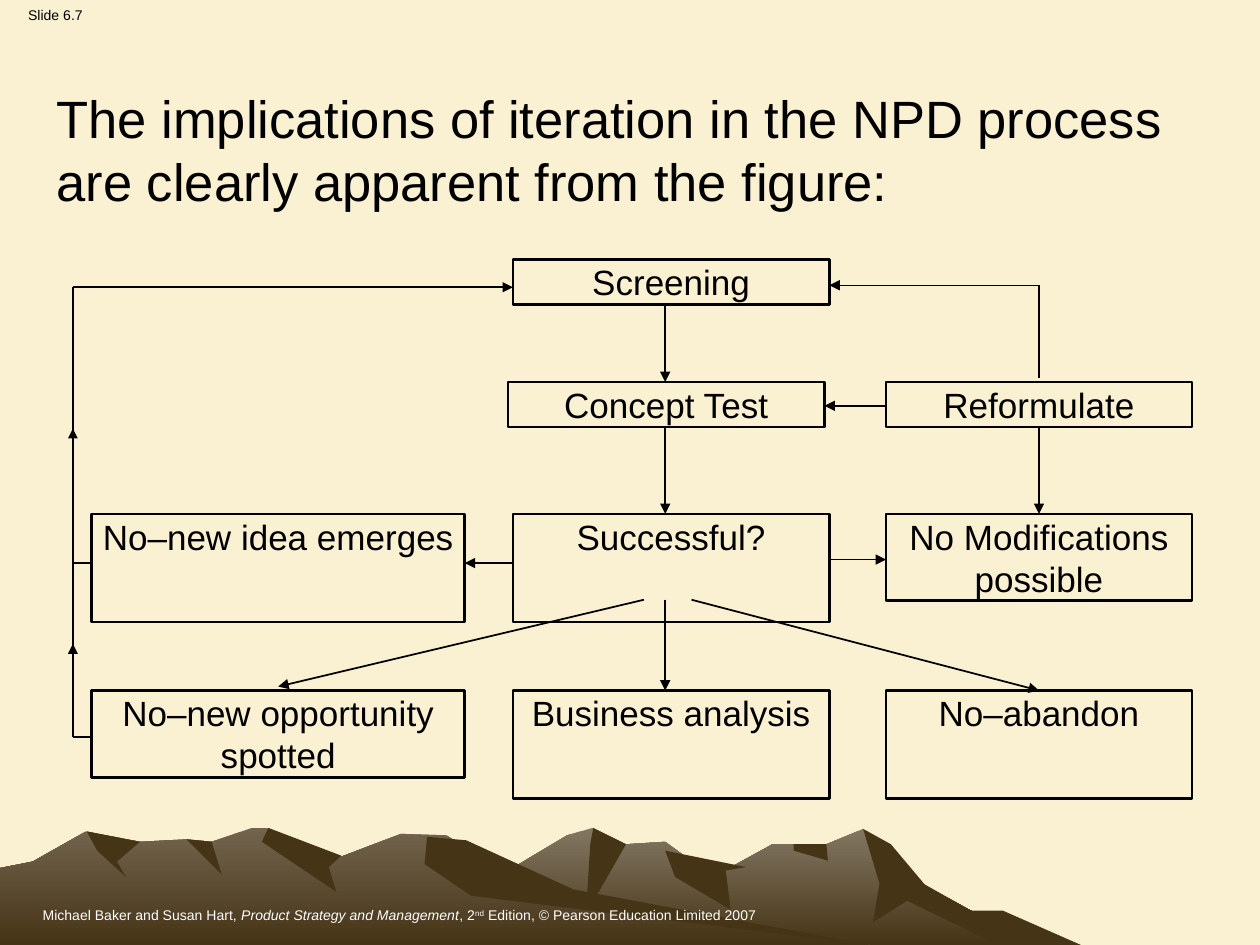
from lxml.etree import SubElement
from pptx import Presentation
from pptx.dml.color import RGBColor
from pptx.enum.shapes import MSO_CONNECTOR, MSO_SHAPE
from pptx.enum.text import MSO_ANCHOR, MSO_AUTO_SIZE, PP_ALIGN
from pptx.oxml.ns import qn
from pptx.util import Cm, Pt

BLACK, WHITE, SAND, EARTH = "000000", "FFFFFF", "FAF0D2", "463416"
FAR_RIDGE, NEAR_RIDGE = "837763", "72644E"
LEFT, MIDDLE, RIGHT = (1.85, 7.52), (10.34, 6.38), (17.86, 6.17)
CONCEPT = (10.24, 6.38)
SCREEN_ROW, TEST_ROW, RESULT_ROW, OUTCOME_ROW = 5.23, 7.7, 10.36, 13.92
ONE_LINE, TWO_LINES, TALL = 0.91, 1.75, 2.18
AXIS, RAIL, FORK = 13.41, 1.47, 12.09

RIDGES = [
    (FAR_RIDGE, [(6.55, 19.05), (10, 17.7), (11.43, 16.84), (11.95, 16.69), (12.62, 17.02),
                 (13.41, 16.97), (14.38, 17.68), (15.57, 17.02), (16.66, 17.02), (17.4, 16.71),
                 (18.36, 17.7), (20.85, 19.05)]),
    (EARTH, [(17.4, 16.71), (17.96, 17.02), (18.64, 17.83), (19.58, 18.36), (20.22, 18.36),
             (21.79, 19.05), (20.12, 19.05), (18.29, 18.16), (17.6, 18.59), (17.73, 17.81)]),
    (EARTH, [(11.96, 16.69), (12.62, 17.02), (11.81, 18.44), (11.9, 17.02)]),
    (EARTH, [(13.41, 17.15), (15.04, 17.48), (14.63, 17.55), (14.73, 18.34), (13.61, 17.68)]),
    (EARTH, [(16, 17.02), (16.66, 17.02), (16.69, 17.35), (16, 17.15)]),
    (NEAR_RIDGE, [(0, 17.5), (0.66, 17.37), (1.73, 16.76), (2.82, 16.97), (3.76, 16.92),
                  (4.27, 16.97), (5.08, 16.69), (5.38, 16.69), (6, 17.25), (6.88, 17.27),
                  (8.08, 16.81), (9, 16.84), (10.97, 18.06), (17.53, 19.05), (0, 19.05)]),
    (EARTH, [(5.41, 16.69), (6.88, 17.25), (6.63, 17.48), (6.78, 17.98), (5.28, 16.97)]),
    (EARTH, [(8.61, 16.87), (9.4, 16.94), (11.56, 17.93), (17.53, 19.05), (9.5, 18.06), (8.56, 17.42)]),
    (EARTH, [(3.76, 16.92), (4.27, 16.97), (4.47, 17.63)]),
    (EARTH, [(1.75, 16.76), (2.82, 16.97), (2.36, 17.37), (2.54, 17.68), (1.96, 17.15)]),
]

BOXES = [
    ("Screening", MIDDLE, SCREEN_ROW, ONE_LINE),
    ("Concept Test", CONCEPT, TEST_ROW, ONE_LINE),
    ("Successful?", MIDDLE, RESULT_ROW, TALL),
    ("Reformulate", RIGHT, TEST_ROW, ONE_LINE),
    ("No Modifications possible", RIGHT, RESULT_ROW, TWO_LINES),
    ("No–new opportunity spotted", LEFT, OUTCOME_ROW, TWO_LINES),
    ("No–abandon", RIGHT, OUTCOME_ROW, TALL),
    ("Business analysis", MIDDLE, OUTCOME_ROW, TALL),
    ("No–new idea emerges", LEFT, RESULT_ROW, TALL),
]


def color(value):
    return RGBColor.from_string(value)


def apply_format(target, values):
    for name, value in values.items():
        setattr(target, name, value)


def format_frame(frame, side=0.25, edge=0.13, wrap=True):
    apply_format(frame, {
        "margin_left": Cm(side), "margin_right": Cm(side),
        "margin_top": Cm(edge), "margin_bottom": Cm(edge),
        "word_wrap": wrap, "auto_size": MSO_AUTO_SIZE.NONE, "vertical_anchor": MSO_ANCHOR.TOP,
    })


def add_run(paragraph, text, size, text_color=BLACK, italic=False, baseline=None):
    run = paragraph.add_run()
    run.text = text
    apply_format(run.font, {"name": "Arial", "size": Pt(size), "italic": italic, "bold": False})
    run.font.color.rgb = color(text_color)
    if baseline:
        run._r.get_or_add_rPr().set("baseline", baseline)


def fill_solid(shape, fill_color):
    shape.shadow.inherit = False
    shape.fill.solid()
    shape.fill.fore_color.rgb = color(fill_color)
    shape.line.fill.background()


def add_ridge(slide, fill_color, points):
    start, *others = [(Cm(x), Cm(y)) for x, y in points]
    builder = slide.shapes.build_freeform(*start)
    builder.add_line_segments(others, close=True)
    shape = builder.convert_to_shape()
    fill_solid(shape, fill_color)
    if fill_color != EARTH:
        shape.fill.gradient()
        shape.fill.gradient_angle = 270
        for position, stop in enumerate(shape.fill.gradient_stops):
            stop.position = position
            stop.color.rgb = color((fill_color, EARTH)[position])


def add_label(slide, area, runs, alignment, wrap=True):
    text_box = slide.shapes.add_textbox(*map(Cm, area))
    format_frame(text_box.text_frame, wrap=wrap)
    paragraph = text_box.text_frame.paragraphs[0]
    paragraph.alignment = alignment
    for run in runs:
        add_run(paragraph, size=8, **run)


def add_heading(slide, text):
    title = slide.shapes.title
    apply_format(title, {"left": Cm(0.89), "top": Cm(1.6), "width": Cm(22.86), "height": Cm(2.8)})
    format_frame(title.text_frame)
    paragraph = title.text_frame.paragraphs[0]
    paragraph.alignment = PP_ALIGN.LEFT
    add_run(paragraph, text, 30)


def add_box(slide, text, column, top, height):
    left, width = column
    shape = slide.shapes.add_shape(MSO_SHAPE.RECTANGLE, Cm(left), Cm(top), Cm(width), Cm(height))
    shape.shadow.inherit = False
    shape.fill.background()
    shape.line.color.rgb = color(BLACK)
    shape.line.width = Pt(1.5)
    format_frame(shape.text_frame, side=0.05, edge=0.03)
    paragraph = shape.text_frame.paragraphs[0]
    paragraph.alignment = PP_ALIGN.CENTER
    add_run(paragraph, text, 20)


def add_line(slide, start, end, width=1, arrow=True):
    connector = slide.shapes.add_connector(MSO_CONNECTOR.STRAIGHT, *map(Cm, start + end))
    connector.line.color.rgb = color(BLACK)
    connector.line.width = Pt(width)
    properties = connector._element.spPr
    if arrow:
        SubElement(properties.get_or_add_ln(), qn("a:tailEnd"), type="triangle")
    SubElement(properties, qn("a:effectLst"))


def add_marker(slide, top):
    area = map(Cm, (RAIL - 0.1, top, 0.2, 0.2))
    fill_solid(slide.shapes.add_shape(MSO_SHAPE.ISOSCELES_TRIANGLE, *area), BLACK)


def add_column_arrows(slide):
    right_axis = center(RIGHT)
    for x, top, bottom in (
        (AXIS, SCREEN_ROW + ONE_LINE, TEST_ROW),
        (AXIS, TEST_ROW + ONE_LINE, RESULT_ROW),
        (AXIS, FORK, OUTCOME_ROW),
        (right_axis, TEST_ROW + ONE_LINE, RESULT_ROW),
    ):
        add_line(slide, (x, top), (x, bottom))
    add_line(slide, (AXIS - 0.43, FORK), (center(LEFT), OUTCOME_ROW - 0.08))
    add_line(slide, (AXIS + 0.53, FORK), (right_axis, OUTCOME_ROW))


def add_row_arrows(slide):
    for start, end, y in (
        (right_edge(MIDDLE), RIGHT[0], 11.28),
        (RIGHT[0], right_edge(CONCEPT), 8.18),
        (MIDDLE[0], right_edge(LEFT), 11.35),
    ):
        add_line(slide, (start, y), (end, y))


def add_return_loops(slide):
    entry, lower = 5.79, 14.86
    for y in (lower, 11.35):
        add_line(slide, (LEFT[0], y), (RAIL, y), arrow=False)
    add_line(slide, (RAIL, lower), (RAIL, entry), arrow=False)
    add_line(slide, (RAIL, entry), (MIDDLE[0], entry))
    for top in (12.98, 8.64):
        add_marker(slide, top)
    corner = (center(RIGHT), 5.75)
    add_line(slide, (corner[0], 7.62), corner, width=0.75, arrow=False)
    add_line(slide, corner, (right_edge(MIDDLE), corner[1]), width=0.75)


def center(column):
    return column[0] + column[1] / 2


def right_edge(column):
    return sum(column)


def main():
    presentation = Presentation()
    apply_format(presentation, {"slide_width": Cm(25.4), "slide_height": Cm(19.05)})
    slide = presentation.slides.add_slide(presentation.slide_layouts[5])
    slide.background.fill.solid()
    slide.background.fill.fore_color.rgb = color(SAND)
    for ridge in RIDGES:
        add_ridge(slide, *ridge)
    footer = [
        {"text": "Michael Baker and Susan Hart, "},
        {"text": "Product Strategy and Management", "italic": True},
        {"text": ", 2"},
        {"text": "nd", "baseline": "30000"},
        {"text": " Edition, © Pearson Education Limited 2007"},
    ]
    add_label(slide, (0.61, 18.14, 24, 0.53), [{"text_color": WHITE, **run} for run in footer], PP_ALIGN.LEFT)
    add_label(slide, (0, 0, 2.24, 0.61), [{"text": "Slide 6.7"}], PP_ALIGN.CENTER, wrap=False)
    add_heading(slide, "The implications of iteration in the NPD process are clearly apparent from the figure:")
    for box in BOXES:
        add_box(slide, *box)
    add_column_arrows(slide)
    add_row_arrows(slide)
    add_return_loops(slide)
    presentation.save("out.pptx")


if __name__ == "__main__":
    main()
